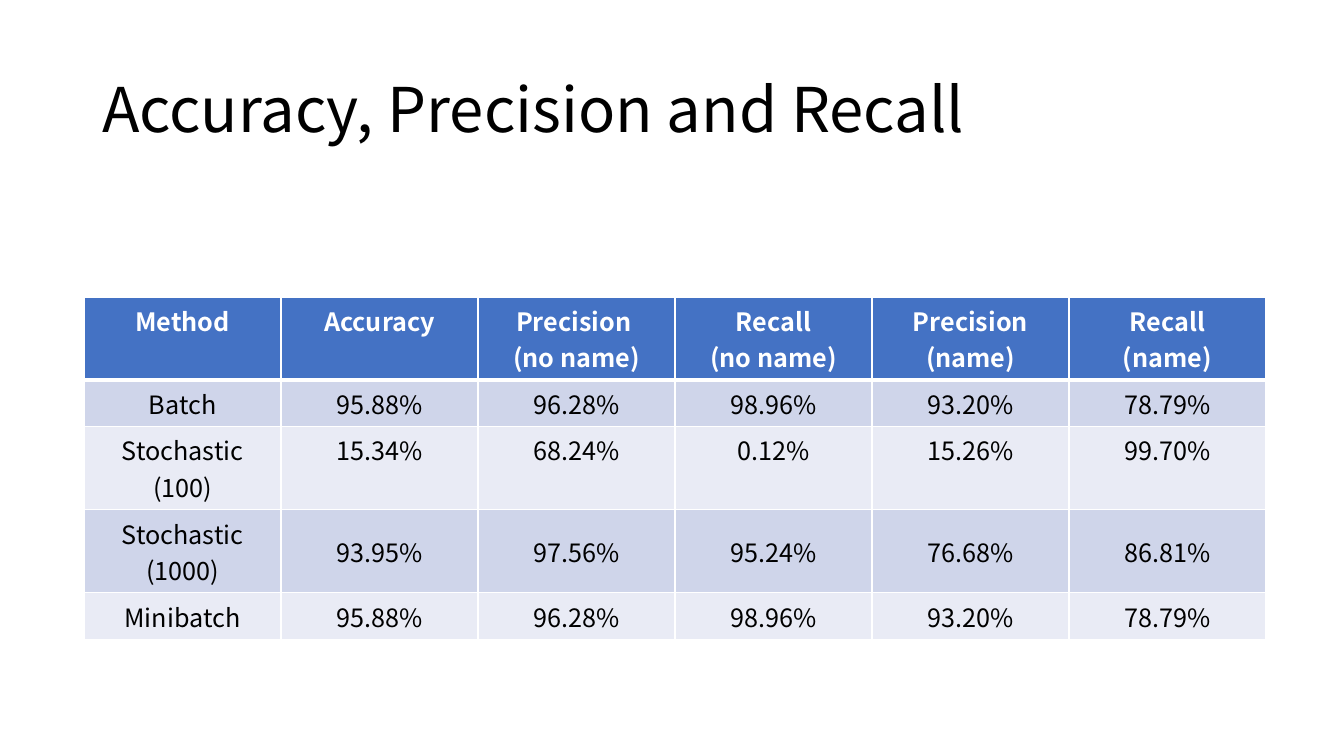
from lxml import etree
from pptx import Presentation
from pptx import util as u
from pptx.dml.color import RGBColor
from pptx.enum import text
from pptx.oxml import ns

# Content
TITLE = "Accuracy, Precision and Recall"
ROWS = [
    ("Method", "Accuracy", "Precision \n(no name)", "Recall\n(no name)",
     "Precision\n(name)", "Recall\n(name)"),
    ("Batch", "95.88%", "96.28%", "98.96%", "93.20%", "78.79%"),
    ("Stochastic (100)", "15.34%", "68.24%", "0.12%", "15.26%", "99.70%"),
    ("Stochastic (1000)", "93.95%", "97.56%", "95.24%", "76.68%", "86.81%"),
    ("Minibatch", "95.88%", "96.28%", "98.96%", "93.20%", "78.79%"),
]
CENTRED_ROW = 3

# Layout in pixels, and style
ROW_HEIGHTS = [83, 46, 83, 83, 46]
COL_WIDTH = 197
TABLE_LEFT, TABLE_TOP = 84, 297
FONT = "Noto Sans CJK SC"
HEADER, BANDS = "4472C4", ("E9EBF5", "CFD5EA")
WHITE, BLACK = "FFFFFF", "000000"


def px(n):
    return u.Emu(round(n * 914400 / 100.8))


def rgb(value):
    return RGBColor.from_string(value)


def write(tf, content, size=18, color=BLACK, bold=False,
          align=text.PP_ALIGN.CENTER, spacing=None):
    tf.text = content
    for p in tf.paragraphs:
        p.alignment = align
        p.line_spacing = spacing
        for r in p.runs:
            r.font.name, r.font.size, r.font.bold = FONT, u.Pt(size), bold
            r.font.color.rgb = rgb(color)


def set_borders(cell, **widths):
    """Draw white cell borders; they must precede the cell's fill."""
    tc_pr = cell._tc.get_or_add_tcPr()
    for i, side in enumerate("LRTB"):
        ln = etree.Element(ns.qn(f"a:ln{side}"), w=str(u.Pt(widths.get(side, 1))))
        fill = etree.SubElement(ln, ns.qn("a:solidFill"))
        etree.SubElement(fill, ns.qn("a:srgbClr"), val=WHITE)
        tc_pr.insert(i, ln)


prs = Presentation()
prs.slide_width, prs.slide_height = px(1344), px(756)
s = prs.slides.add_slide(prs.slide_layouts[5])

# Title
title = s.shapes.title
title.left, title.top, title.width, title.height = map(px, (92, 40, 1159, 146))
tf = title.text_frame
tf.auto_size = text.MSO_AUTO_SIZE.NONE
tf.vertical_anchor = text.MSO_ANCHOR.MIDDLE
write(tf, TITLE, size=44, align=text.PP_ALIGN.LEFT, spacing=0.9)

# Table
n_rows, n_cols = len(ROWS), len(ROWS[0])
table = s.shapes.add_table(n_rows, n_cols, px(TABLE_LEFT), px(TABLE_TOP),
                           px(COL_WIDTH * n_cols), px(sum(ROW_HEIGHTS))).table
for col in table.columns:
    col.width = px(COL_WIDTH)
for i, values in enumerate(ROWS):
    table.rows[i].height = px(ROW_HEIGHTS[i])
    is_header = i == 0
    for j, value in enumerate(values):
        cell = table.cell(i, j)
        write(cell.text_frame, value, color=WHITE if is_header else BLACK,
              bold=is_header)
        if i == CENTRED_ROW and j > 0:
            cell.vertical_anchor = text.MSO_ANCHOR.MIDDLE
            cell.margin_left = cell.margin_right = 0
            cell.margin_top = cell.margin_bottom = 0
        cell.fill.solid()
        cell.fill.fore_color.rgb = rgb(HEADER if is_header else BANDS[i % 2])
        set_borders(cell, T=3 if i == 1 else 1, B=3 if is_header else 1)

prs.save("out.pptx")
